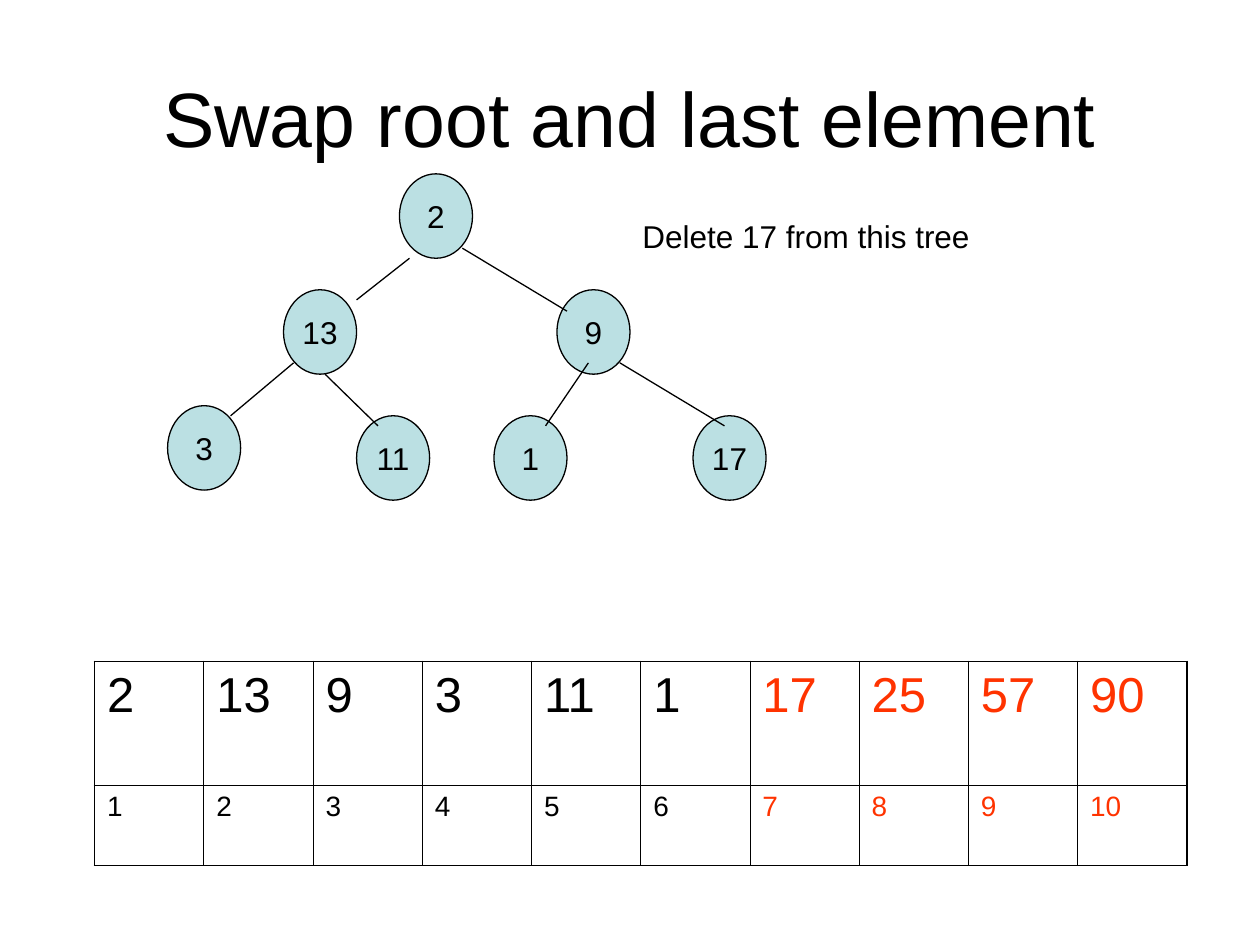
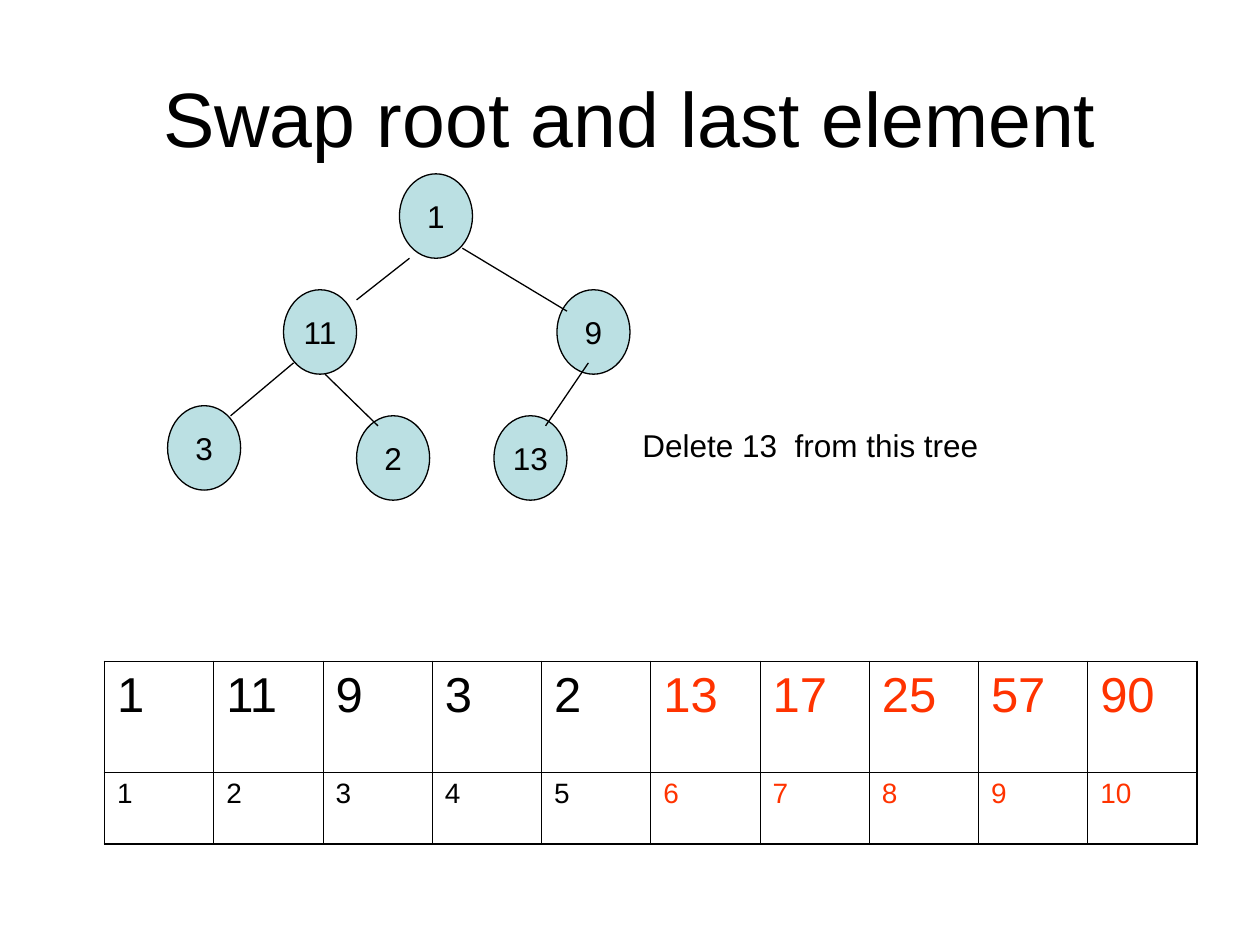
from dataclasses import dataclass

from lxml.etree import SubElement
from pptx import Presentation
from pptx.dml.color import RGBColor
from pptx.enum.shapes import MSO_CONNECTOR, MSO_SHAPE
from pptx.enum.text import MSO_ANCHOR, PP_ALIGN
from pptx.oxml.ns import qn
from pptx.util import Inches, Pt

# Content: the tree is the kept part of the heap plus the element being deleted
TITLE = "Swap root and last element"
STEPS = [
    {"heap": [2, 13, 9, 3, 11, 1, 17, 25, 57, 90], "kept": 6,
     "task": "Delete 17 from this tree", "task_top": 1.67,
     "array_left": 0.75, "array_rows": (0.98, 0.64)},
    {"heap": [1, 11, 9, 3, 2, 13, 17, 25, 57, 90], "kept": 5,
     "task": "Delete 13  from this tree", "task_top": 3.33,
     "array_left": 0.83, "array_rows": (0.88, 0.57)},
]

# Places in heap order: the root, then level by level
NODE_SIZE = (0.58, 0.67)
NODE_SPOTS = [(3.17, 1.38), (2.25, 2.3), (4.42, 2.3), (1.33, 3.22),
              (2.83, 3.3), (3.92, 3.3), (5.5, 3.3)]
# Branch from its parent to each node after the root
BRANCHES = [((3.25, 2.05), (2.83, 2.38)), ((3.67, 1.97), (4.5, 2.47)),
            ((2.33, 2.88), (1.83, 3.3)), ((2.58, 2.97), (3, 3.38)),
            ((4.67, 2.88), (4.33, 3.38)), ((4.92, 2.88), (5.75, 3.38))]
ARRAY_TOP, ARRAY_WIDTH = 5.25, 8.67


@dataclass(frozen=True)
class Theme:
    font: str = "Arial"
    ink: str = "000000"
    sorted_ink: str = "FF3300"
    node: str = "BBE0E3"
    title_size: int = 44
    body_size: int = 18
    value_size: int = 28
    index_size: int = 16
    line: float = 0.75
    inner_border: float = 0.45
    outer_border: float = 1.08


THEME = Theme()


def write(frame, words, size, color=THEME.ink, align=PP_ALIGN.LEFT):
    paragraph = frame.paragraphs[0]
    paragraph.alignment = align
    run = paragraph.add_run()
    run.text = str(words)
    run.font.name = THEME.font
    run.font.size = Pt(size)
    run.font.color.rgb = RGBColor.from_string(color)


def add_words(slide, box, words, size, align, anchor):
    frame = slide.shapes.add_textbox(*map(Inches, box)).text_frame
    frame.word_wrap = True
    frame.vertical_anchor = anchor
    write(frame, words, size, align=align)


def outline(line):
    line.color.rgb = RGBColor.from_string(THEME.ink)
    line.width = Pt(THEME.line)


def add_node(slide, value, spot):
    node = slide.shapes.add_shape(MSO_SHAPE.OVAL, *map(Inches, spot + NODE_SIZE))
    node.shadow.inherit = False
    node.fill.solid()
    node.fill.fore_color.rgb = RGBColor.from_string(THEME.node)
    outline(node.line)
    node.text_frame.word_wrap = False
    node.text_frame.vertical_anchor = MSO_ANCHOR.MIDDLE
    write(node.text_frame, value, THEME.body_size, align=PP_ALIGN.CENTER)


def add_branch(slide, start, end):
    branch = slide.shapes.add_connector(MSO_CONNECTOR.STRAIGHT, *map(Inches, start + end))
    outline(branch.line)
    SubElement(branch._element.spPr, qn("a:effectLst"))


def add_tree(slide, values):
    root, *others = zip(values, NODE_SPOTS)
    for value, spot in others:
        add_node(slide, value, spot)
    for _, (start, end) in zip(others, BRANCHES):
        add_branch(slide, start, end)
    add_node(slide, *root)


def set_borders(cell, outer_sides):
    """Outer sides are thick, the rest thin; borders come before the fill."""
    properties = cell._tc.get_or_add_tcPr()
    for side, outer in outer_sides.items():
        width = THEME.outer_border if outer else THEME.inner_border
        border = SubElement(properties, qn(f"a:ln{side}"), w=str(Pt(width)))
        fill = SubElement(border, qn("a:solidFill"))
        SubElement(fill, qn("a:srgbClr"), val=THEME.ink)


def add_array(slide, heap, kept, left, row_heights):
    rows = [(heap, THEME.value_size), (range(1, len(heap) + 1), THEME.index_size)]
    array = slide.shapes.add_table(
        len(rows), len(heap), Inches(left), Inches(ARRAY_TOP),
        Inches(ARRAY_WIDTH), Inches(sum(row_heights))).table
    array.first_row = array.horz_banding = False
    for row, height in zip(array.rows, row_heights):
        row.height = Inches(height)
    for r, (values, size) in enumerate(rows):
        for c, value in enumerate(values):
            cell = array.cell(r, c)
            set_borders(cell, {"L": c == 0, "R": c == len(heap) - 1,
                               "T": r == 0, "B": r == len(rows) - 1})
            cell.fill.background()
            color = THEME.ink if c < kept else THEME.sorted_ink
            write(cell.text_frame, value, size, color)


def main():
    deck = Presentation()
    deck.slide_width, deck.slide_height = Inches(10), Inches(7.5)
    for step in STEPS:
        slide = deck.slides.add_slide(deck.slide_layouts[6])
        add_words(slide, (0.5, 0.3, 9, 1.25), TITLE, THEME.title_size,
                  PP_ALIGN.CENTER, MSO_ANCHOR.MIDDLE)
        add_tree(slide, step["heap"][:step["kept"] + 1])
        add_array(slide, step["heap"], step["kept"], step["array_left"], step["array_rows"])
        add_words(slide, (5, step["task_top"], 5, 0.4), step["task"], THEME.body_size,
                  PP_ALIGN.LEFT, MSO_ANCHOR.TOP)
    deck.save("out.pptx")


if __name__ == "__main__":
    main()
